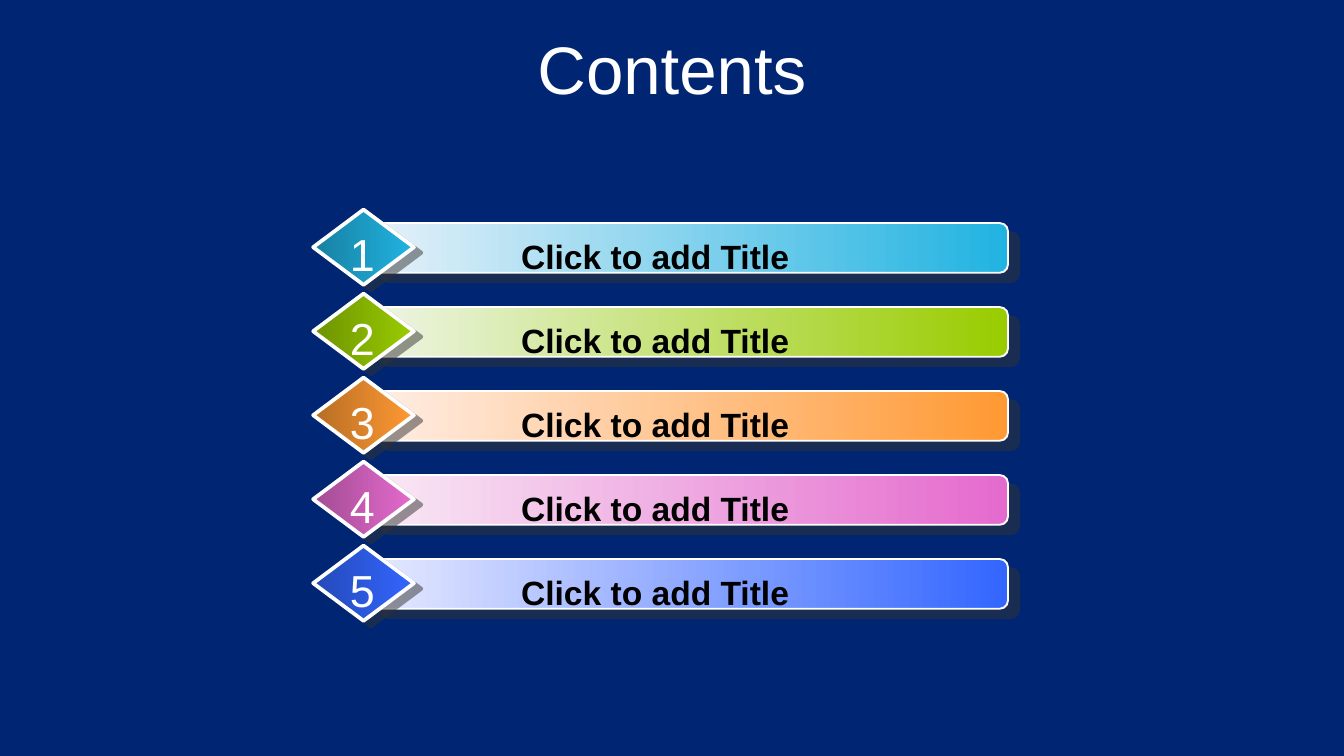
from lxml import etree
from pptx import Presentation
from pptx.dml.color import RGBColor
from pptx.enum.shapes import MSO_SHAPE
from pptx.enum.text import MSO_ANCHOR, MSO_AUTO_SIZE, PP_ALIGN
from pptx.oxml.ns import qn
from pptx.util import Inches, Pt

BAR, DIAMOND = MSO_SHAPE.ROUNDED_RECTANGLE, MSO_SHAPE.DIAMOND
MIDDLE, TOP = MSO_ANCHOR.MIDDLE, MSO_ANCHOR.TOP
CENTER = PP_ALIGN.CENTER
NO_FIT, GROW = MSO_AUTO_SIZE.NONE, MSO_AUTO_SIZE.SHAPE_TO_FIT_TEXT

# Content: label and row colour
TITLE = "Contents"
ITEMS = [
    ("Click to add Title", "21B3E1"),
    ("Click to add Title", "99CC00"),
    ("Click to add Title", "FF9933"),
    ("Click to add Title", "E46ACD"),
    ("Click to add Title", "3366FF"),
]

# Gradients start from a pale tint (bars) or a deep shade (diamonds), in percent
THEME = {
    "font": "Arial", "bg": "002673", "light": "FFFFFF", "dark": "000000",
    "shadow": "333333", "title": 36, "number": 24, "label": 18,
    "pale": ("tint", 21), "deep": ("shade", 46.7),
}

# Layout in inches: left, top (within the row), width, height
SLIDE_WIDTH = 10
SLIDE_HEIGHT = SLIDE_WIDTH * 9 / 16
TITLE_BOX = (0, 0.19, SLIDE_WIDTH, 0.62)
BAR_BOX = (2.75, 0.1, 4.75, 0.37)
DIAMOND_BOX = (2.33, 0, 0.75, 0.56)
LABEL_BOX = (3, 0.15, 3.75, 0.4)
NUMBER_BOX = (2.5, 0.08, 0.39, 0.5)
FIRST_TOP = 1.56
ROW_PITCH = 2.5 / (len(ITEMS) - 1)


def place(box, top=0):
    x, y, w, h = box
    return Inches(x), Inches(top + y), Inches(w), Inches(h)


def write(s, text, size, color, bold=False, wrap=True, anchor=TOP, fit=GROW):
    tf = s.text_frame
    tf.word_wrap = wrap
    tf.auto_size = fit
    tf.vertical_anchor = anchor
    p = tf.paragraphs[0]
    p.alignment = CENTER
    r = p.add_run()
    r.text = text
    r.font.name = THEME["font"]
    r.font.size = Pt(size)
    r.font.bold = bold
    r.font.color.rgb = RGBColor.from_string(color)


def add_shadow(s, distance, angle):
    s.shadow.inherit = False
    effects = s._element.spPr.find(qn("a:effectLst"))
    shadow = etree.SubElement(
        effects, qn("a:outerShdw"), blurRad="0", dist=str(Pt(distance)),
        dir=str(angle * 60000), algn="ctr", rotWithShape="0")
    color = etree.SubElement(shadow, qn("a:srgbClr"), val=THEME["shadow"])
    etree.SubElement(color, qn("a:alpha"), val="50000")


def add_gradient_shape(group, kind, box, top, color, start, line, shadow):
    s = group.shapes.add_shape(kind, *place(box, top))
    s.fill.gradient()
    s.fill.gradient_angle = 0
    for position, stop in enumerate(s.fill.gradient_stops):
        stop.color.rgb = RGBColor.from_string(color)
        stop.position = position
    effect, percent = start
    first_color = next(s._element.spPr.iter(qn("a:srgbClr")))
    etree.SubElement(first_color, qn(f"a:{effect}"), val=str(round(percent * 1000)))
    s.line.color.rgb = RGBColor.from_string(THEME["light"])
    s.line.width = Pt(line)
    add_shadow(s, *shadow)
    return s


def add_item(slide, number, top, label, color):
    group = slide.shapes.add_group_shape()
    bar = add_gradient_shape(group, BAR, BAR_BOX, top, color,
                             THEME["pale"], 1, (7.8, 40))
    bar.adjustments[0] = 0.167
    add_gradient_shape(group, DIAMOND, DIAMOND_BOX, top, color,
                       THEME["deep"], 2, (5, 37))
    write(group.shapes.add_textbox(*place(LABEL_BOX, top)), label,
          THEME["label"], THEME["dark"], bold=True)
    write(group.shapes.add_textbox(*place(NUMBER_BOX, top)), str(number),
          THEME["number"], THEME["light"], wrap=False)


def main():
    prs = Presentation()
    prs.slide_width, prs.slide_height = Inches(SLIDE_WIDTH), Inches(SLIDE_HEIGHT)
    slide = prs.slides.add_slide(prs.slide_layouts[5])
    slide.background.fill.solid()
    slide.background.fill.fore_color.rgb = RGBColor.from_string(THEME["bg"])

    # Title
    title = slide.shapes.title
    title.left, title.top, title.width, title.height = place(TITLE_BOX)
    write(title, TITLE, THEME["title"], THEME["light"], anchor=MIDDLE, fit=NO_FIT)

    # Numbered rows
    for i, (label, color) in enumerate(ITEMS):
        add_item(slide, i + 1, FIRST_TOP + i * ROW_PITCH, label, color)

    prs.save("out.pptx")


if __name__ == "__main__":
    main()
